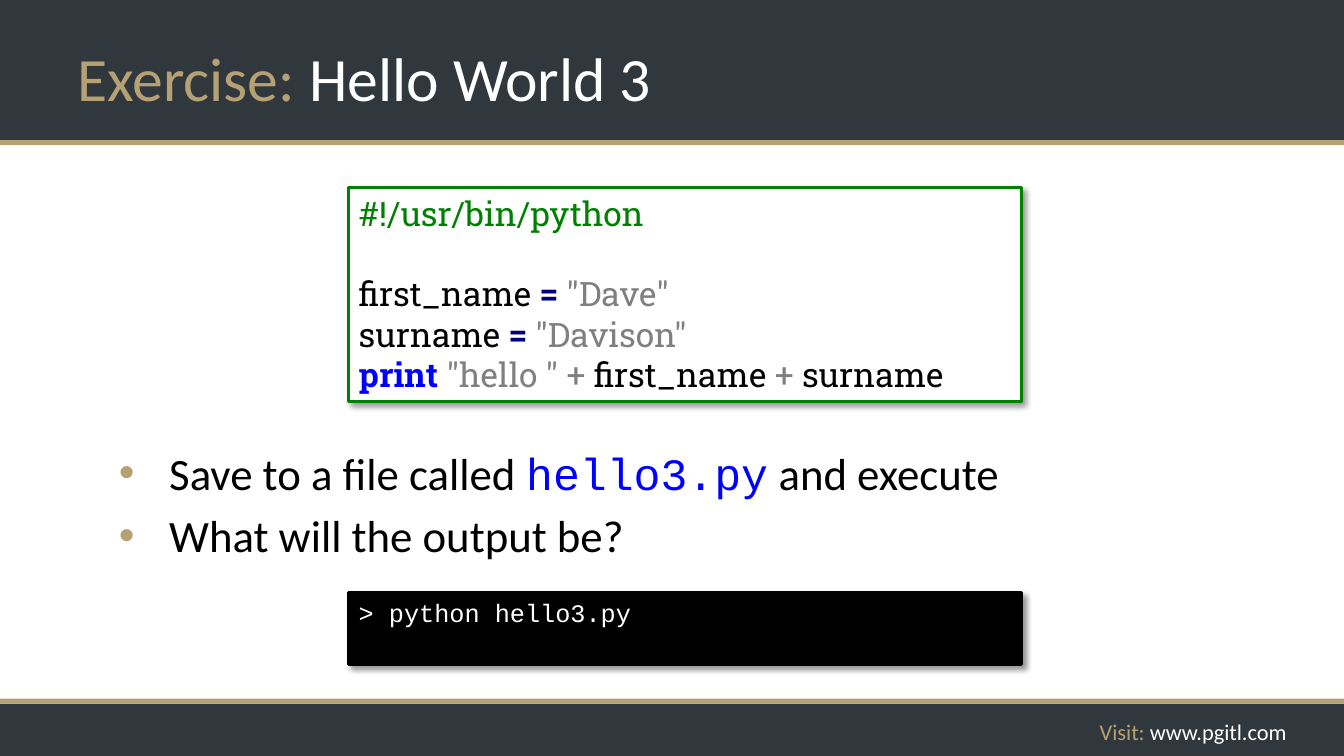
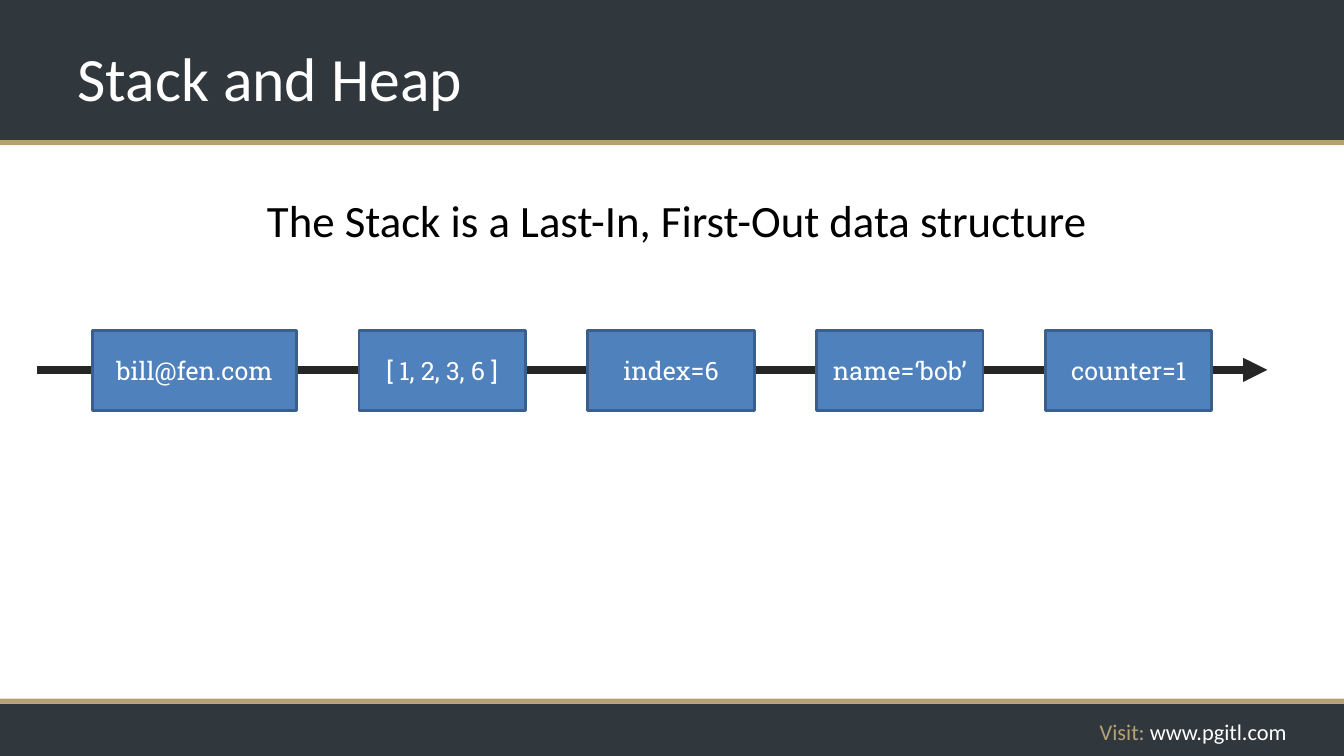
from typing import NamedTuple, Optional

from lxml.etree import SubElement as Sub
from pptx import Presentation
from pptx.dml.color import RGBColor as Rgb
from pptx.enum.shapes import MSO_CONNECTOR as Conn, MSO_SHAPE as Kind
from pptx.enum.text import MSO_ANCHOR as Anchor, PP_ALIGN as Align
from pptx.oxml.ns import qn
from pptx.util import Inches, Pt

COLORS = {
    "slate": "31383D", "gold": "B6A174", "white": "FFFFFF", "black": "000000",
    "green": "008000", "navy": "000080", "blue": "0000FF", "gray": "808080",
    "steel": "4F81BD", "edge": "3A5F8C", "coal": "262626",
}
SANS, MONO, SLAB = "Calibri", "Courier New", "Roboto Slab"
WIDTH, HEIGHT = 13.33, 7.5


class Box(NamedTuple):
    left: float
    top: float
    width: float
    height: float


class Run(NamedTuple):
    text: str
    color: str = "black"
    bold: bool = False
    font: Optional[str] = None


class Block(NamedTuple):
    label: str
    width: float = 1.65


def tint(name: str) -> Rgb:
    return Rgb.from_string(COLORS[name])


def write(shape, lines: list[list[Run]], *, size: float, font: str = SANS,
          align=Align.LEFT, anchor=Anchor.TOP, gaps: Optional[dict] = None,
          bullet: bool = False) -> None:
    """Fill a shape with lines of runs; gaps maps a line number to space before."""
    frame = shape.text_frame
    frame.word_wrap = True
    frame.vertical_anchor = anchor
    for row, runs in enumerate(lines):
        para = frame.add_paragraph() if row else frame.paragraphs[0]
        para.alignment = align
        para.space_before = Pt((gaps or {}).get(row, 0))
        if bullet:
            mark(para)
        for item in runs:
            run = para.add_run()
            run.text = item.text
            run.font.name = item.font or font
            run.font.size = Pt(size)
            run.font.bold = item.bold
            run.font.color.rgb = tint(item.color)


def mark(para) -> None:
    """Give a paragraph a gold bullet and a hanging indent."""
    props = para._p.get_or_add_pPr()
    props.set("marL", str(Inches(0.5)))
    props.set("indent", str(-Inches(0.5)))
    Sub(Sub(props, qn("a:buClr")), qn("a:srgbClr"), val=COLORS["gold"])
    Sub(props, qn("a:buFont"), typeface="Arial")
    Sub(props, qn("a:buChar"), char="•")


def label(slide, box: Box, lines: list[list[Run]], **style) -> None:
    area = slide.shapes.add_textbox(*map(Inches, box))
    write(area, lines, **style)


def rect(slide, box: Box, fill: str, line: Optional[str] = None,
         weight: float = 2.25, shade: bool = False):
    shape = slide.shapes.add_shape(Kind.RECTANGLE, *map(Inches, box))
    shape.shadow.inherit = False
    shape.fill.solid()
    shape.fill.fore_color.rgb = tint(fill)
    if line:
        shape.line.color.rgb = tint(line)
        shape.line.width = Pt(weight)
    else:
        shape.line.fill.background()
    if shade:
        effects = shape._element.spPr.find(qn("a:effectLst"))
        shadow = Sub(effects, qn("a:outerShdw"), blurRad=str(Pt(4)),
                     dist=str(Pt(3)), dir="2700000", algn="tl", rotWithShape="0")
        color = Sub(shadow, qn("a:srgbClr"), val=COLORS["black"])
        Sub(color, qn("a:alpha"), val="40000")
    return shape


def arrow(slide, left: float, right: float, top: float) -> None:
    line = slide.shapes.add_connector(
        Conn.STRAIGHT, Inches(left), Inches(top), Inches(right), Inches(top))
    line.line.color.rgb = tint("coal")
    line.line.width = Pt(5.75)
    Sub(line.line._get_or_add_ln(), qn("a:tailEnd"), type="triangle")
    Sub(line._element.spPr, qn("a:effectLst"))


def start(deck, title: list[Run]):
    """Add a slide with bands, footer and title."""
    slide = deck.slides.add_slide(deck.slide_layouts[6])
    for top, tall, fill in ((0, 1.39, "slate"), (6.98, HEIGHT - 6.98, "slate"),
                            (6.93, 0.05, "gold"), (1.39, 0.05, "gold")):
        rect(slide, Box(0, top, WIDTH, tall), fill)
    label(slide, Box(9.08, 7.08, 3.78, 0.37),
          [[Run("Visit: ", "gold"), Run("www.pgitl.com", "white")]],
          size=16, align=Align.RIGHT)
    label(slide, Box(0.67, 0.14, 9.46, 1.25), [title], size=44, anchor=Anchor.MIDDLE)
    return slide


def hello(deck) -> None:
    slide = start(deck, [Run("Exercise: ", "gold"), Run("Hello World 3", "white")])

    # Code listing
    equals = Run("=", "navy", True)
    code = [
        [Run("#!/usr/bin/python", "green")],
        [Run("first_name "), equals, Run(' "Dave"', "gray")],
        [Run("surname "), equals, Run(' "Davison"', "gray")],
        [Run("print", "blue", True), Run(' "hello " + ', "gray"),
         Run("first_name"), Run(" +", "gray"), Run(" surname")],
    ]
    panel = rect(slide, Box(3.46, 1.86, 6.67, 2.12), "white", "green", shade=True)
    write(panel, code, size=24, font=SLAB, gaps={1: 28.8})

    # Tasks
    tasks = [
        [Run("Save to a file called "), Run("hello3.py", "blue", font=MONO),
         Run(" and execute")],
        [Run("What will the output be?")],
    ]
    label(slide, Box(1.08, 4.37, 11.56, 1.4), tasks, size=32, gaps={1: 6.4}, bullet=True)

    # Console
    shell = rect(slide, Box(3.46, 5.88, 6.67, 0.71), "black", "black", shade=True)
    write(shell, [[Run("> python hello3.py", "white")]], size=18, font=MONO)


def stack(deck) -> None:
    slide = start(deck, [Run("Stack and Heap", "white")])
    label(slide, Box(2.55, 1.86, 8.6, 0.64),
          [[Run("The Stack is a Last-In, First-Out data structure")]], size=32)

    # Blocks in a row on the arrow
    arrow(slide, 0.37, 12.57, 3.67)
    blocks = [Block("bill@fen.com", 2.02), Block("[ 1, 2, 3, 6 ]"),
              Block("index=6"), Block("name=‘bob’"), Block("counter=1")]
    left, gap = 0.92, 0.62
    for block in blocks:
        shape = rect(slide, Box(left, 3.28, block.width, 0.79), "steel", "edge", 2)
        write(shape, [[Run(block.label, "white")]], size=18, font=SLAB,
              align=Align.CENTER, anchor=Anchor.MIDDLE)
        left += block.width + gap


def main() -> None:
    deck = Presentation()
    deck.slide_width, deck.slide_height = Inches(WIDTH), Inches(HEIGHT)
    hello(deck)
    stack(deck)
    deck.save("out.pptx")


if __name__ == "__main__":
    main()
